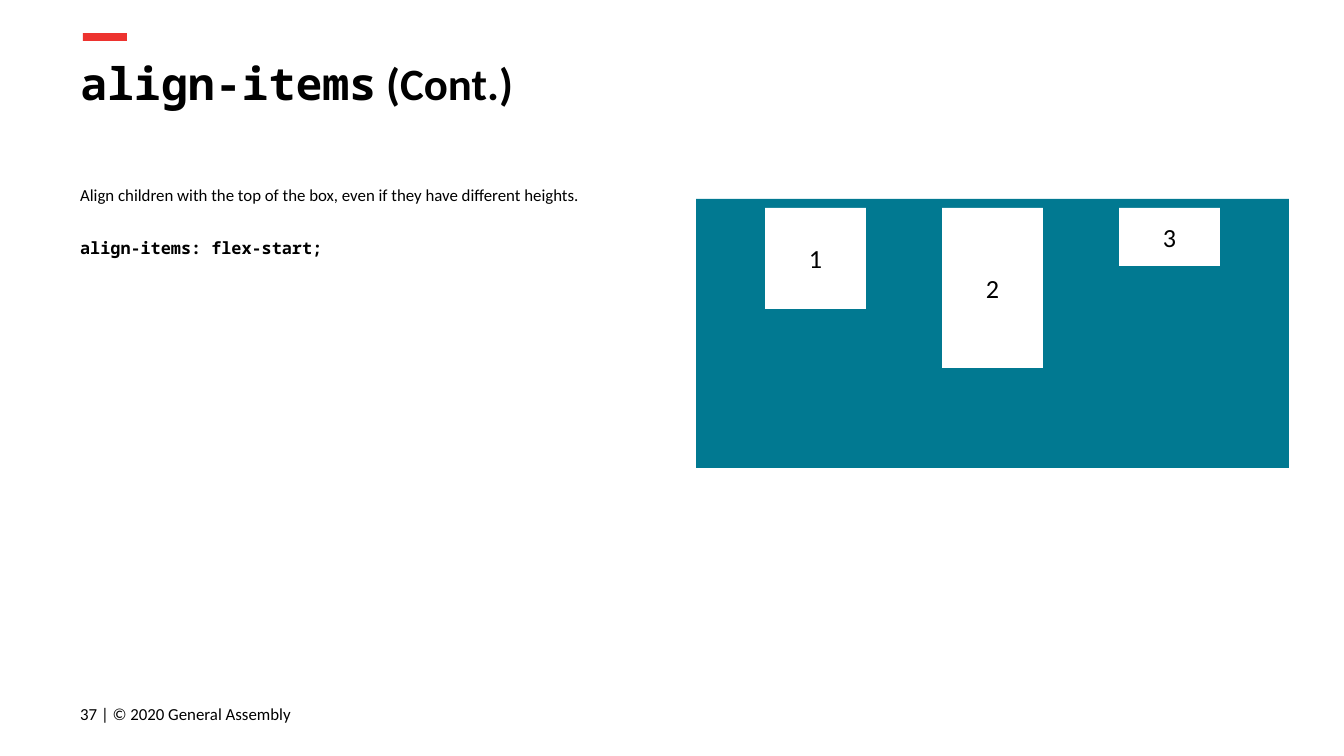
from pptx import Presentation
from pptx.dml.color import RGBColor
from pptx.enum.shapes import MSO_SHAPE
from pptx.enum.text import MSO_ANCHOR, MSO_AUTO_SIZE, PP_ALIGN
from pptx.util import Emu, Pt

# Content: each paragraph is a list of (text, font values)
SANS, MONO = "Calibri", "Noto Sans Mono"
TITLE = [[("align-items", {"name": MONO, "size": Pt(24), "bold": True}),
          (" (Cont.)", {"name": SANS, "size": Pt(24), "bold": True})]]
BODY = [[("Align children with the top of the box, even if they have different heights.",
          {"name": SANS, "size": Pt(9)})],
        [("align-items: flex-start;", {"name": MONO, "size": Pt(9), "bold": True})]]
FOOTER = [[("37 | © 2020 General Assembly", {"name": SANS, "size": Pt(9)})]]
ITEM_HEIGHTS = {"1": 101, "2": 160, "3": 58}
ITEM_FONT = {"name": SANS, "size": Pt(14)}

# Layout in px
PX = 914400 / 134.4
CONTAINER = (696, 199, 593, 269)
ITEM_LEFT, ITEM_TOP, ITEM_WIDTH, ITEM_STEP = 765, 208, 101, 177
INSET = Pt(7.2)


def px(*values):
    return [Emu(round(v * PX)) for v in values]


def color(value):
    return RGBColor.from_string(value)


def write(sp, paragraphs, anchor=MSO_ANCHOR.TOP, align=PP_ALIGN.LEFT, **spacing):
    tf = sp.text_frame
    frame = {"word_wrap": True, "auto_size": MSO_AUTO_SIZE.NONE, "vertical_anchor": anchor,
             "margin_left": INSET, "margin_right": INSET,
             "margin_top": INSET, "margin_bottom": INSET}
    for key, value in frame.items():
        setattr(tf, key, value)
    for i, runs in enumerate(paragraphs):
        p = tf.paragraphs[0] if i == 0 else tf.add_paragraph()
        p.alignment = align
        for key, value in spacing.items():
            setattr(p, key, value)
        for text, font in runs:
            r = p.add_run()
            r.text = text
            r.font.color.rgb = color("000000")
            for key, value in font.items():
                setattr(r.font, key, value)


def add_box(s, box, fill):
    sp = s.shapes.add_shape(MSO_SHAPE.RECTANGLE, *px(*box))
    sp.shadow.inherit = False
    sp.fill.solid()
    sp.fill.fore_color.rgb = color(fill)
    sp.line.fill.background()
    return sp


prs = Presentation()
prs.slide_width, prs.slide_height = px(1344, 756)
s = prs.slides.add_slide(prs.slide_layouts[5])

# Accent bar and title
add_box(s, (83, 33, 44, 8), "ED332F")
title = s.shapes.title
title.left, title.top, title.width, title.height = px(67, 42, 1253, 85)
write(title, TITLE)

# Explanation and footer
body = s.shapes.add_textbox(*px(67, 168, 605, 431))
write(body, BODY, line_spacing=1.15)
code = body.text_frame.paragraphs[1]
code.space_before = code.space_after = Pt(16)
write(s.shapes.add_textbox(*px(67, 685, 348, 58)), FOOTER, MSO_ANCHOR.MIDDLE)

# Flex container with top-aligned items
add_box(s, CONTAINER, "017991")
for i, (label, height) in enumerate(ITEM_HEIGHTS.items()):
    item = add_box(s, (ITEM_LEFT + i * ITEM_STEP, ITEM_TOP, ITEM_WIDTH, height), "FFFFFF")
    write(item, [[(label, ITEM_FONT)]], MSO_ANCHOR.MIDDLE, PP_ALIGN.CENTER)

prs.save("out.pptx")
